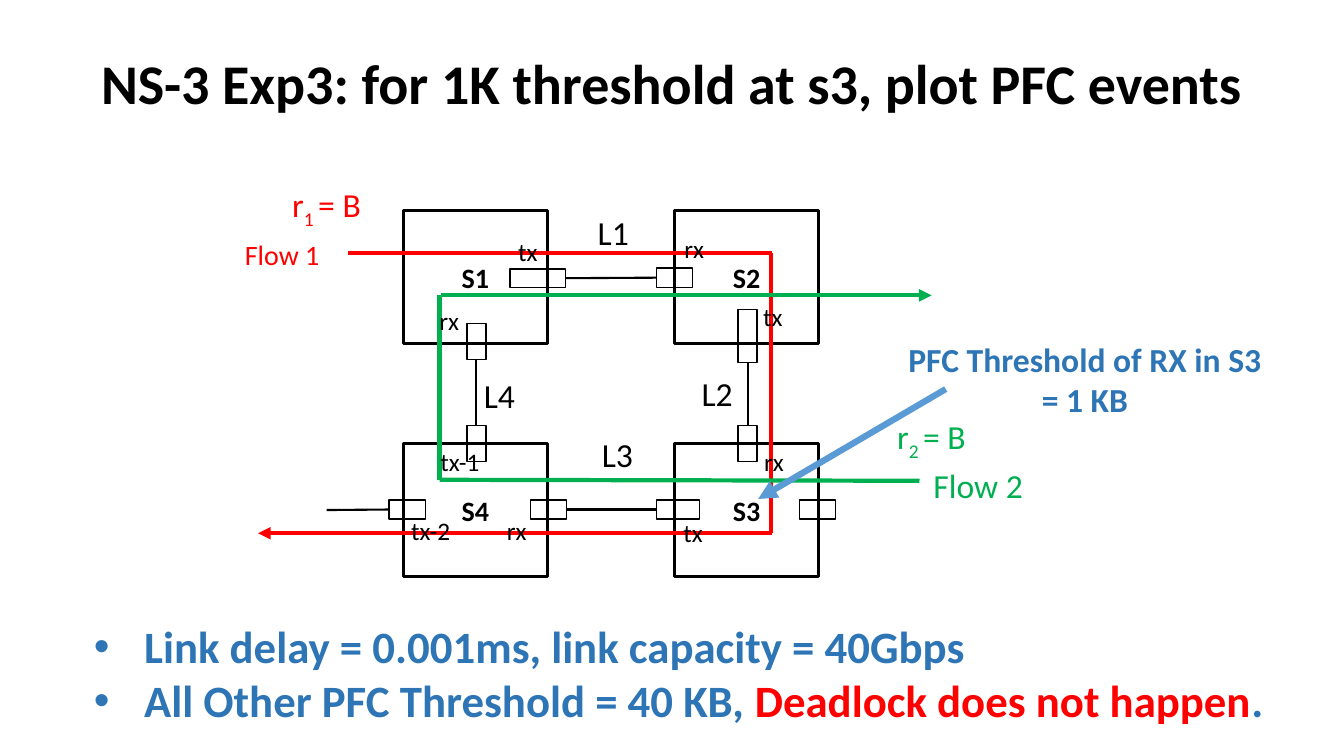
"""Builds the NS-3 experiment 3 slide: four switches in a ring, two flows and PFC settings."""
from lxml import etree
from pptx import Presentation
from pptx import util as u
from pptx.dml.color import RGBColor
from pptx.enum import shapes, text
from pptx.oxml.ns import qn

PX = 9144
BLACK, RED, GREEN, BLUE, SKY = "000000", "FF0000", "00B050", "2E75B6", "5B9BD5"


def rgb(colour):
    return RGBColor.from_string(colour)


def set_font(font, size, colour, bold=False):
    font.name = "Calibri"
    font.size = u.Pt(size)
    font.bold = bold
    font.color.rgb = rgb(colour)


prs = Presentation()
prs.slide_width, prs.slide_height = 1333 * PX, 750 * PX
s = prs.slides.add_slide(prs.slide_layouts[1])

title, body = s.placeholders
for sp, box in ((title, (35, 43, 1262, 77)), (body, (83, 609, 1190, 118))):
    sp.left, sp.top, sp.width, sp.height = [v * PX for v in box]
    sp.text_frame.auto_size = text.MSO_AUTO_SIZE.NONE
    sp.text_frame.vertical_anchor = text.MSO_ANCHOR.TOP

title.text_frame.text = "NS-3 Exp3: for 1K threshold at s3, plot PFC events"
p = title.text_frame.paragraphs[0]
p.alignment = text.PP_ALIGN.CENTER
set_font(p.runs[0].font, 40, BLACK, True)

bullets = [
    [("Link delay = 0.001ms, link capacity = 40Gbps", BLUE)],
    [("All Other PFC Threshold = 40 KB, ", BLUE), ("Deadlock does not happen", RED), (".", BLUE)],
]
tf = body.text_frame
tf.word_wrap = False
for i, parts in enumerate(bullets):
    p = tf.add_paragraph() if i else tf.paragraphs[0]
    p.space_before = u.Pt(0)
    pPr = p._p.get_or_add_pPr()
    pPr.set("marL", str(50 * PX))
    pPr.set("indent", str(-50 * PX))
    etree.SubElement(pPr, qn("a:buFont")).set("typeface", "Arial")
    etree.SubElement(pPr, qn("a:buChar")).set("char", "•")
    for words, colour in parts:
        r = p.add_run()
        r.text = words
        set_font(r.font, 32, colour, True)

switches = {"S1": (400, 209), "S2": (669, 209), "S3": (669, 440), "S4": (400, 440)}
ports = {
    "S1 right": (506, 267, 55, 18), "S1 bottom": (463, 321, 19, 36),
    "S2 left": (651, 266, 36, 19), "S2 bottom": (732, 307, 19, 53),
    "S3 left": (651, 496, 43, 19), "S3 top": (732, 422, 19, 36), "S3 right": (793, 496, 36, 19),
    "S4 right": (526, 496, 36, 19), "S4 top": (463, 422, 19, 36), "S4 left": (386, 496, 36, 19),
}
boxes = {name: (x, y, 143, 132) for name, (x, y) in switches.items()} | ports
drawn = {}
for name, box in boxes.items():
    sp = s.shapes.add_shape(shapes.MSO_SHAPE.RECTANGLE, *[v * PX for v in box])
    sp.shadow.inherit = False
    sp.fill.background()
    sp.line.color.rgb = rgb(BLACK)
    sp.line.width = u.Pt(2.25 if name in switches else 1)
    if name in switches:
        tf = sp.text_frame
        tf.text = name
        tf.word_wrap = True
        tf.vertical_anchor = text.MSO_ANCHOR.MIDDLE
        p = tf.paragraphs[0]
        p.alignment = text.PP_ALIGN.CENTER
        set_font(p.runs[0].font, 20, BLACK, True)
    drawn[name] = sp

lines = [
    (561, 276, 651, 276, BLACK, 1.5, False, ("S1 right", 3), ("S2 left", 1)),
    (562, 506, 651, 506, BLACK, 1.5, False, ("S4 right", 3), ("S3 left", 1)),
    (741, 422, 741, 360, BLACK, 1.5, False, ("S3 top", 0), ("S2 bottom", 2)),
    (472, 422, 472, 357, BLACK, 1.5, False, ("S4 top", 0), ("S1 bottom", 2)),
    (324, 506, 386, 506, BLACK, 1.5, False, None, ("S4 left", 1)),
    (345, 251, 766, 251, RED, 3, False, None, None),
    (765, 251, 765, 529, RED, 3, False, None, None),
    (766, 529, 256, 529, RED, 3, True, None, None),
    (912, 477, 436, 476, GREEN, 3, False, None, None),
    (436, 476, 436, 293, GREEN, 3, False, None, None),
    (437, 293, 924, 293, GREEN, 3, True, None, None),
    (938, 386, 752, 495, SKY, 4.5, True, None, None),
]
for x1, y1, x2, y2, colour, width, arrow, start, end in lines:
    c = s.shapes.add_connector(shapes.MSO_CONNECTOR.STRAIGHT, x1 * PX, y1 * PX, x2 * PX, y2 * PX)
    c.line.color.rgb = rgb(colour)
    c.line.width = u.Pt(width)
    if arrow:
        etree.SubElement(c.line._get_or_add_ln(), qn("a:tailEnd")).set("type", "triangle")
    etree.SubElement(c._element.spPr, qn("a:effectLst"))
    if start:
        c.begin_connect(drawn[start[0]], start[1])
    if end:
        c.end_connect(drawn[end[0]], end[1])

labels = [
    ("rx", 426, 298, 40, 40, 18, BLACK), ("tx", 504, 230, 39, 40, 18, BLACK),
    ("rx", 669, 227, 40, 40, 18, BLACK), ("tx", 747, 294, 39, 40, 18, BLACK),
    ("rx", 748, 438, 40, 40, 18, BLACK), ("tx", 668, 508, 39, 40, 18, BLACK),
    ("rx", 493, 506, 40, 40, 18, BLACK), ("tx-1", 427, 438, 60, 40, 18, BLACK),
    ("tx-2", 398, 506, 60, 40, 18, BLACK),
    ("L1", 583, 205, 51, 50, 24, BLACK), ("L2", 686, 365, 51, 50, 24, BLACK),
    ("L3", 587, 426, 51, 50, 24, BLACK), ("L4", 470, 367, 51, 50, 24, BLACK),
    ("Flow 1", 233, 231, 95, 44, 20, RED), ("Flow 2", 916, 456, 109, 50, 24, GREEN),
    ("r_1 _= B", 280, 178, 91, 50, 24, RED), ("r_2 _= B", 880, 408, 91, 50, 24, GREEN),
    ("PFC Threshold of RX in S3\n= 1 KB", 891, 331, 381, 91, 24, BLUE),
]
for words, x, y, w, h, size, colour in labels:
    tf = s.shapes.add_textbox(x * PX, y * PX, w * PX, h * PX).text_frame
    tf.word_wrap = False
    tf.auto_size = text.MSO_AUTO_SIZE.SHAPE_TO_FIT_TEXT
    tf.text = words
    for p in tf.paragraphs:
        base, *rest = p.text.split("_")
        p.text = base
        for part in rest:
            p.add_run().text = part
        for r in p.runs:
            set_font(r.font, size, colour, colour == BLUE)
        if rest:
            p.runs[1].font._element.set("baseline", "-25000")
tf.paragraphs[-1].alignment = text.PP_ALIGN.CENTER

prs.save("out.pptx")
